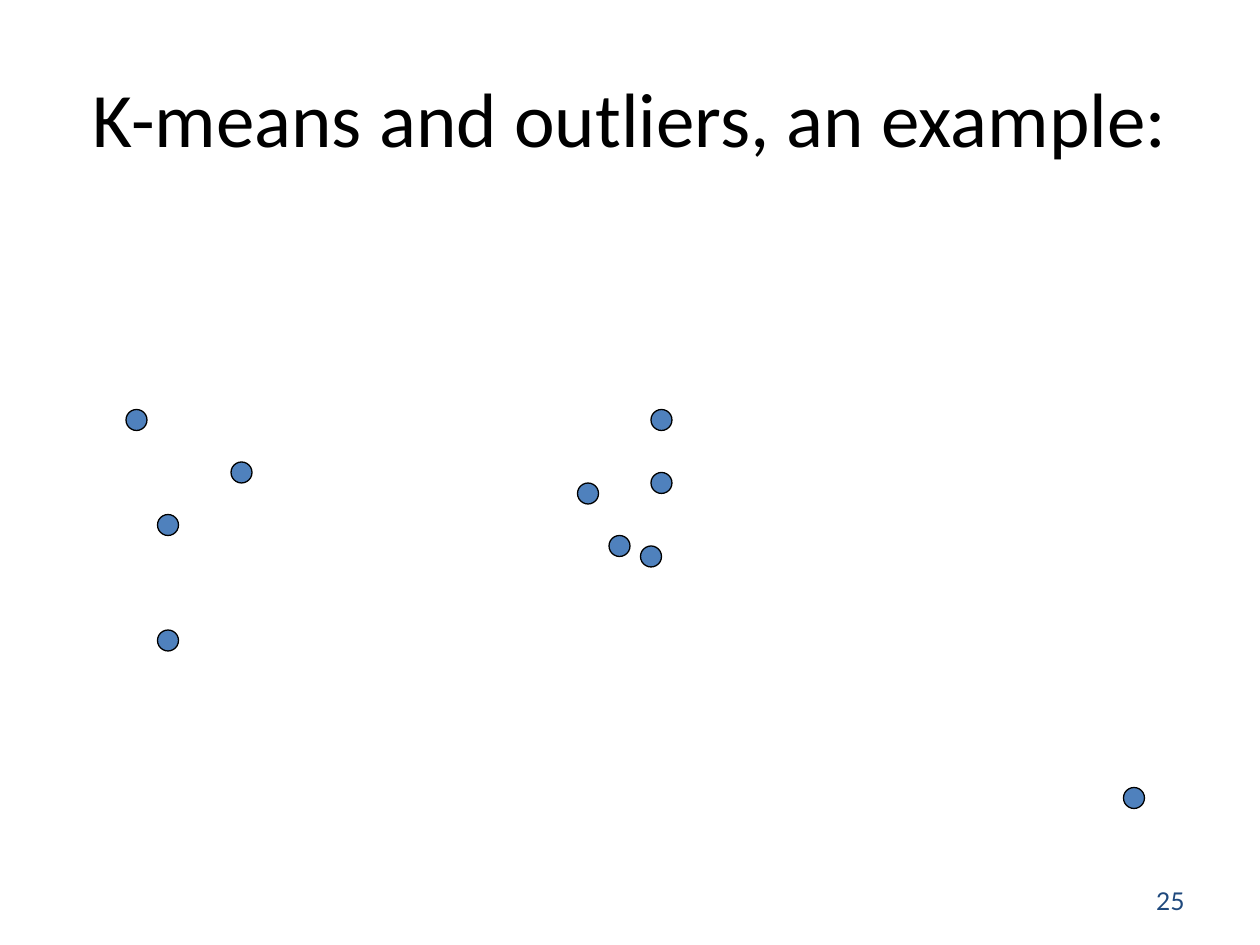
from typing import NamedTuple

from pptx import Presentation
from pptx.dml.color import RGBColor
from pptx.enum.shapes import MSO_SHAPE
from pptx.enum.text import MSO_ANCHOR, PP_ALIGN
from pptx.util import Inches, Pt

WIDTH, HEIGHT = Inches(10), Inches(7.5)
CELL = WIDTH / 120  # the slide is a grid of 120 columns and 90 rows
SIZE = 2  # dot diameter in cells


class Dot(NamedTuple):
    col: int
    row: int


class Label(NamedTuple):
    text: str
    col: float
    row: float
    cols: float
    rows: float
    font: str
    size: int
    color: str
    align: PP_ALIGN


LEFT = [Dot(12, 39), Dot(15, 60), Dot(15, 49), Dot(22, 44)]
MIDDLE = [Dot(58, 51), Dot(55, 46), Dot(61, 52), Dot(62, 39), Dot(62, 45)]
OUTLIER = Dot(107, 75)

LABELS = [
    Label("K-means and outliers, an example:", 6, 3.6, 108, 15,
          "Calibri", 44, "000000", PP_ALIGN.CENTER),
    Label("25", 86, 83.4, 28, 4.8, "Lato", 14, "1F497D", PP_ALIGN.RIGHT),
]


def rgb(code: str) -> RGBColor:
    return RGBColor.from_string(code)


def cells(*counts: float) -> list[int]:
    """Turn counts of grid cells into lengths."""
    return [round(count * CELL) for count in counts]


def draw_label(slide, label: Label) -> None:
    box = slide.shapes.add_textbox(
        *cells(label.col, label.row, label.cols, label.rows))
    frame = box.text_frame
    frame.word_wrap = True
    frame.vertical_anchor = MSO_ANCHOR.MIDDLE
    para = frame.paragraphs[0]
    para.text = label.text
    para.alignment = label.align
    para.font.name = label.font
    para.font.size = Pt(label.size)
    para.font.color.rgb = rgb(label.color)


def draw_dot(slide, dot: Dot) -> None:
    shape = slide.shapes.add_shape(
        MSO_SHAPE.OVAL, *cells(dot.col, dot.row, SIZE, SIZE))
    shape.shadow.inherit = False
    shape.fill.solid()
    shape.fill.fore_color.rgb = rgb("4F81BD")
    shape.line.color.rgb = rgb("000000")
    shape.line.width = Pt(0.75)


def main() -> None:
    deck = Presentation()
    deck.slide_width, deck.slide_height = WIDTH, HEIGHT
    slide = deck.slides.add_slide(deck.slide_layouts[6])
    for label in LABELS:
        draw_label(slide, label)
    for dot in [*LEFT, *MIDDLE, OUTLIER]:
        draw_dot(slide, dot)
    deck.save("out.pptx")


if __name__ == "__main__":
    main()
